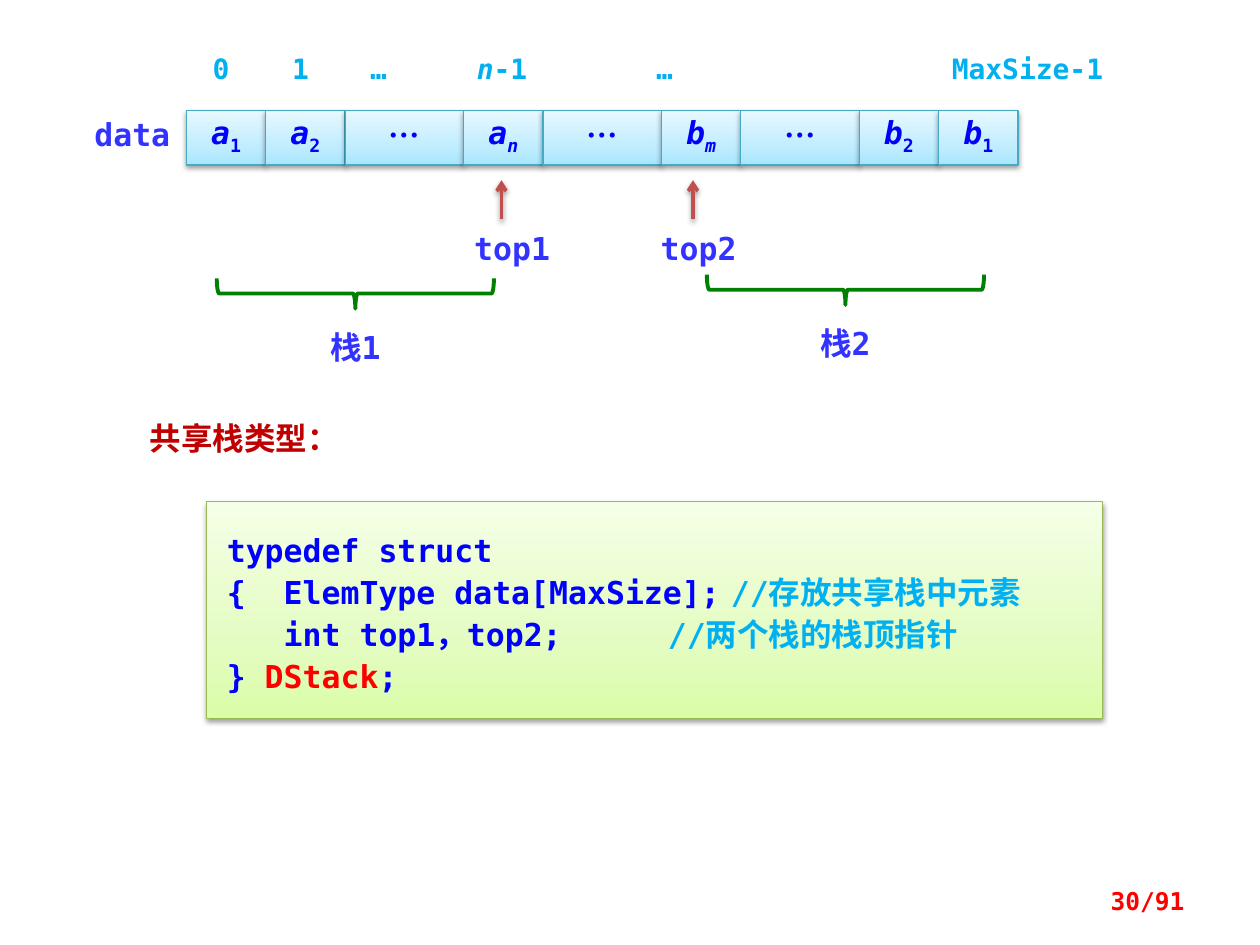
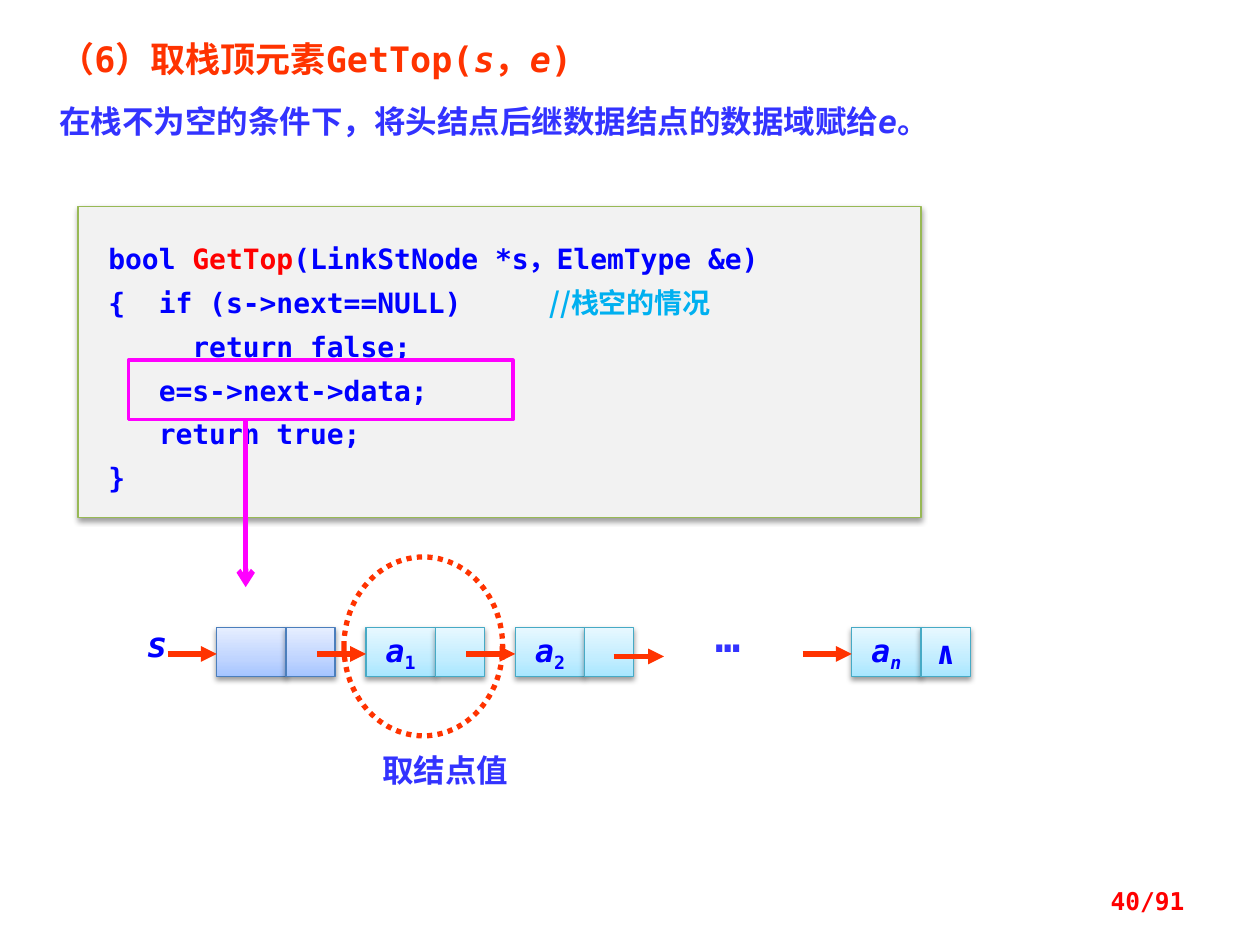
from copy import deepcopy
from itertools import accumulate

from lxml.etree import SubElement
from pptx import Presentation
from pptx.dml.color import RGBColor
from pptx.enum.dml import MSO_LINE
from pptx.enum.shapes import MSO_CONNECTOR, MSO_SHAPE as SHAPE
from pptx.enum.text import MSO_ANCHOR as ANCHOR, PP_ALIGN as ALIGN
from pptx.oxml.ns import qn
from pptx.util import Inches, Pt

MONO = "DejaVu Sans Mono"
CJK = "Noto Sans CJK SC"

CODE_BLUE = RGBColor(0x00, 0x00, 0xFF)
LABEL_BLUE = RGBColor(0x33, 0x33, 0xFF)
COMMENT_CYAN = RGBColor(0x00, 0xB0, 0xF0)
RED = RGBColor(0xFF, 0x00, 0x00)
DARK_RED = RGBColor(0xC0, 0x00, 0x00)
ORANGE = RGBColor(0xFF, 0x33, 0x00)
BRICK = RGBColor(0xC0, 0x50, 0x4D)
MAGENTA = RGBColor(0xFF, 0x00, 0xFF)
GREEN = RGBColor(0x00, 0x80, 0x00)
GREY = RGBColor(0xF2, 0xF2, 0xF2)
CODE_BORDER = RGBColor(0x98, 0xB9, 0x55)
CELL_BORDER = RGBColor(0x46, 0xAA, 0xC5)
HEAD_BORDER = RGBColor(0x4B, 0x7E, 0xBC)

# Gradient colours from bottom to top
CYAN_FILL = [RGBColor.from_string(c) for c in ("A7E6FF", "C1EDFF", "E7F8FF")]
BLUE_FILL = [RGBColor.from_string(c) for c in ("A4C4FF", "BFD4FF", "E6EEFF")]
LIME_FILL = [RGBColor.from_string(c) for c in ("DAFDA7", "E4FCC2", "F5FFE7")]
STOPS = (0, 0.35, 1)

ITALIC = {"italic": True}
COMMENT = {"color": COMMENT_CYAN}
KEYWORD = {"color": RED}


def subscripted(base, sub):
    """Runs of an italic variable with an index; letters in the index are italic."""
    return [(base, ITALIC), (sub, {"italic": sub.isalpha(), "baseline": -25000})]


def add_run(p, text, size=18, color=CODE_BLUE, font=MONO, italic=False, baseline=None):
    r = p.add_run()
    r.text = text
    r.font.size, r.font.name = Pt(size), font
    r.font.bold, r.font.italic = True, italic
    r.font.color.rgb = color
    rpr = r.font._element
    SubElement(rpr, qn("a:ea")).set("typeface", CJK)
    if baseline:
        rpr.set("baseline", str(baseline))


def write(sp, *paragraphs, align=ALIGN.LEFT, anchor=ANCHOR.TOP, insets=(0.1, 0.05, 0.1, 0.05),
          wrap=True, spacing=None, **style):
    """Fill a shape; a paragraph is a string or a list of strings and (text, style) runs."""
    tf = sp.text_frame
    tf.word_wrap, tf.vertical_anchor = wrap, anchor
    tf.margin_left, tf.margin_top, tf.margin_right, tf.margin_bottom = map(Inches, insets)
    for i, runs in enumerate(paragraphs):
        p = tf.add_paragraph() if i else tf.paragraphs[0]
        p.alignment = align
        if spacing:
            p.line_spacing = spacing
        for run in [runs] if isinstance(runs, str) else runs:
            text, extra = (run, {}) if isinstance(run, str) else run
            add_run(p, text, **{**style, **extra})
    return tf


def add_label(slide, box, *paragraphs, **fmt):
    return write(slide.shapes.add_textbox(*map(Inches, box)), *paragraphs, **fmt)


def add_tag(slide, box, text, **fmt):
    """Centred label without insets."""
    add_label(slide, box, text, align=ALIGN.CENTER, insets=(0, 0, 0, 0),
              **{"color": LABEL_BLUE, **fmt})


def cast_shadow(effects):
    shadow = SubElement(effects, qn("a:outerShdw"), blurRad=str(Pt(3.1)), dist=str(Pt(1.6)),
                        dir="5400000", rotWithShape="0")
    color = SubElement(shadow, qn("a:srgbClr"), val="000000")
    SubElement(color, qn("a:alpha"), val="38000")


def add_shape(slide, kind, box, line, width=0.75, fill=None, shadow=False):
    sp = slide.shapes.add_shape(kind, *map(Inches, box))
    sp.shadow.inherit = False
    sp.line.color.rgb, sp.line.width = line, Pt(width)
    props = sp._element.spPr
    if fill is None:
        sp.fill.background()
    elif isinstance(fill, RGBColor):
        sp.fill.solid()
        sp.fill.fore_color.rgb = fill
    else:
        sp.fill.gradient()
        sp.fill.gradient_angle = 90
        stops = props.find(".//" + qn("a:gsLst"))
        stops.append(deepcopy(stops[0]))
        for stop, position, color in zip(sp.fill.gradient_stops, STOPS, fill):
            stop.position, stop.color.rgb = position, color
    if shadow:
        cast_shadow(props.find(qn("a:effectLst")))
    return sp


def add_arrow(slide, start, end, color, width=3, head="triangle", shadow=False):
    c = slide.shapes.add_connector(MSO_CONNECTOR.STRAIGHT, *map(Inches, (*start, *end)))
    c.line.color.rgb, c.line.width = color, Pt(width)
    props = c._element.spPr
    SubElement(props.find(qn("a:ln")), qn("a:tailEnd"), type=head)
    effects = SubElement(props, qn("a:effectLst"))
    if shadow:
        cast_shadow(effects)


def add_cell(slide, box, runs=None, fill=CYAN_FILL, line=CELL_BORDER, **fmt):
    sp = add_shape(slide, SHAPE.RECTANGLE, box, line, fill=fill, shadow=True)
    if runs:
        write(sp, runs, align=ALIGN.CENTER, anchor=ANCHOR.MIDDLE, **fmt)


def add_code(slide, box, *lines, fill, left, leading, size):
    sp = add_shape(slide, SHAPE.RECTANGLE, box, CODE_BORDER, fill=fill, shadow=True)
    write(sp, *lines, insets=(left, 0.2, 0.1, 0.2), spacing=Pt(leading), size=size)


def add_page_number(slide, number):
    add_label(slide, (7.17, 6.95, 2.33, 0.4), f"{number}/91", align=ALIGN.RIGHT,
              anchor=ANCHOR.MIDDLE, size=14, color=RED)


def shared_array(slide, left, top):
    narrow, wide, height = 0.63, 0.94, 0.43
    gap = [("…", {"font": CJK})]
    cells = [subscripted("a", "1"), subscripted("a", "2"), gap, subscripted("a", "n"), gap,
             subscripted("b", "m"), gap, subscripted("b", "2"), subscripted("b", "1")]
    widths = [wide if cell is gap else narrow for cell in cells]
    for x, width, cell in zip(accumulate(widths, initial=left), widths, cells):
        add_cell(slide, (x, top, width, height), cell, insets=(0.1, 0, 0.1, 0.05))

    indexes = [(0.08, 0.39, "0"), (0.71, 0.39, "1"), (1.33, 0.39, "…"),
               (2.19, 0.63, [("n", ITALIC), "-1"]), (3.6, 0.39, "…"), (6.01, 1.33, "MaxSize-1")]
    for x, width, text in indexes:
        add_tag(slide, (left + x, top - 0.47, width, 0.27), text, size=16, color=COMMENT_CYAN)
    add_tag(slide, (left - 0.78, top + 0.03, 0.7, 0.3), "data")


def top_pointer(slide, x, label_left, top, text):
    add_arrow(slide, (x, top + 0.31), (x, top), BRICK, width=2, head="arrow", shadow=True)
    add_tag(slide, (label_left, top + 0.39, 0.63, 0.3), text)


def stack_brace(slide, center, top, text):
    depth, span = 0.24, 2.2
    brace = add_shape(slide, SHAPE.RIGHT_BRACE,
                      (center - depth / 2, top + (depth - span) / 2, depth, span), GREEN, 2.25)
    brace.rotation = 90
    add_tag(slide, (center - 0.35, top + 0.39, 0.7, 0.3), text)


def shared_stack_slide(prs):
    slide = prs.slides.add_slide(prs.slide_layouts[6])
    shared_array(slide, 1.48, 0.88)
    top_pointer(slide, 3.98, 3.75, 1.43, "top1")
    top_pointer(slide, 5.5, 5.23, 1.43, "top2")
    stack_brace(slide, 2.82, 2.21, "栈1")
    stack_brace(slide, 6.71, 2.18, "栈2")
    add_code(slide, (1.64, 3.98, 7.11, 1.72),
             "typedef struct",
             ["{  ElemType data[MaxSize];\t", ("//存放共享栈中元素", COMMENT)],
             ["   int top1，top2;\t\t", ("//两个栈的栈顶指针", COMMENT)],
             ["} ", ("DStack", KEYWORD), ";"],
             fill=LIME_FILL, left=0.16, leading=24, size=18)
    add_label(slide, (1.09, 3.28, 2.42, 0.4), "共享栈类型：", color=DARK_RED)
    add_page_number(slide, 30)


def heading(slide, box):
    body = {"size": 18, "color": LABEL_BLUE}
    tf = add_label(slide, box,
                   ["（6）取栈顶元素GetTop(", ("s", ITALIC), "，", ("e", ITALIC), ")"],
                   [("在栈不为空的条件下，将头结点后继数据结点的数据域赋给", body),
                    ("e", {**body, **ITALIC}), ("。", body)],
                   align=ALIGN.JUSTIFY, insets=(0.16, 0.05, 0.1, 0.05), size=20, color=ORANGE)
    title, summary = tf.paragraphs
    title.line_spacing, summary.line_spacing = 0.8, 1.2
    summary.space_before = Pt(9)


def linked_stack(slide, left, top):
    data_width, next_width, height, step = 0.55, 0.39, 0.39, 1.185
    arrow_y = top + 0.21
    nodes = [(0, None, None), (step, subscripted("a", "1"), None),
             (2 * step, subscripted("a", "2"), None), (5.04, subscripted("a", "n"), ["∧"])]
    for offset, value, link in nodes:
        x = left + offset
        colors = {} if offset else {"fill": BLUE_FILL, "line": HEAD_BORDER}
        add_cell(slide, (x, top, data_width, height), value, wrap=False, **colors)
        add_cell(slide, (x + data_width, top, next_width, height), link, wrap=False, **colors)
        add_arrow(slide, (x - 0.39, arrow_y), (x, arrow_y), ORANGE)
    add_arrow(slide, (left + 3.15, top + 0.23), (left + 3.55, top + 0.23), ORANGE)
    add_label(slide, (left - 0.67, top - 0.09, 0.39, 0.43), [("s", ITALIC)],
              align=ALIGN.CENTER, size=20)
    add_label(slide, (left + 3.78, top - 0.18, 0.55, 0.5), "…",
              align=ALIGN.CENTER, size=24, color=LABEL_BLUE)

    ring = add_shape(slide, SHAPE.OVAL, (left + 1.01, top - 0.56, 1.26, 1.42), ORANGE, 3)
    ring.line.dash_style = MSO_LINE.ROUND_DOT
    add_label(slide, (left + 1.09, top + 0.93, 1.45, 0.4), "取结点值",
              align=ALIGN.CENTER, color=LABEL_BLUE, font=CJK)


def get_top_slide(prs):
    slide = prs.slides.add_slide(prs.slide_layouts[6])
    heading(slide, (0.31, 0.31, 9.75, 0.94))
    add_code(slide, (0.62, 1.64, 6.69, 2.47),
             ["bool ", ("GetTop", KEYWORD), "(LinkStNode *s，ElemType &e)"],
             ["{  if (s->next==NULL)\t\t", ("//栈空的情况", {**COMMENT, "font": CJK})],
             "     return false;",
             "   e=s->next->data;",
             "   return true;",
             "}",
             fill=GREY, left=0.24, leading=25, size=16)
    linked_stack(slide, 1.72, 4.98)
    add_shape(slide, SHAPE.RECTANGLE, (1.02, 2.86, 3.05, 0.47), MAGENTA, 2.25)
    add_arrow(slide, (1.95, 3.33), (1.95, 4.66), MAGENTA, head="arrow")
    add_page_number(slide, 40)


def main():
    prs = Presentation()
    prs.slide_width, prs.slide_height = Inches(10), Inches(7.5)
    shared_stack_slide(prs)
    get_top_slide(prs)
    prs.save("out.pptx")


if __name__ == "__main__":
    main()
